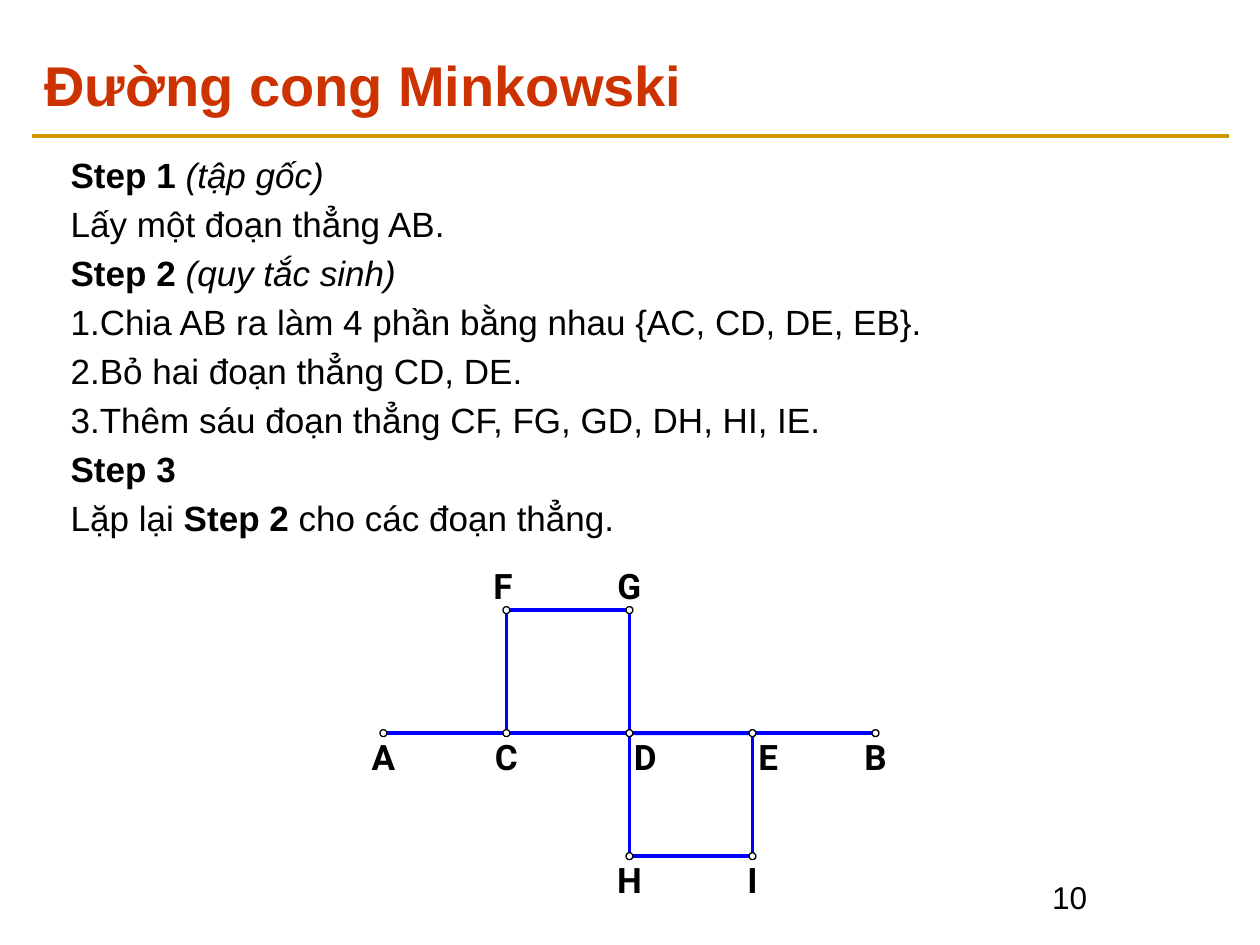
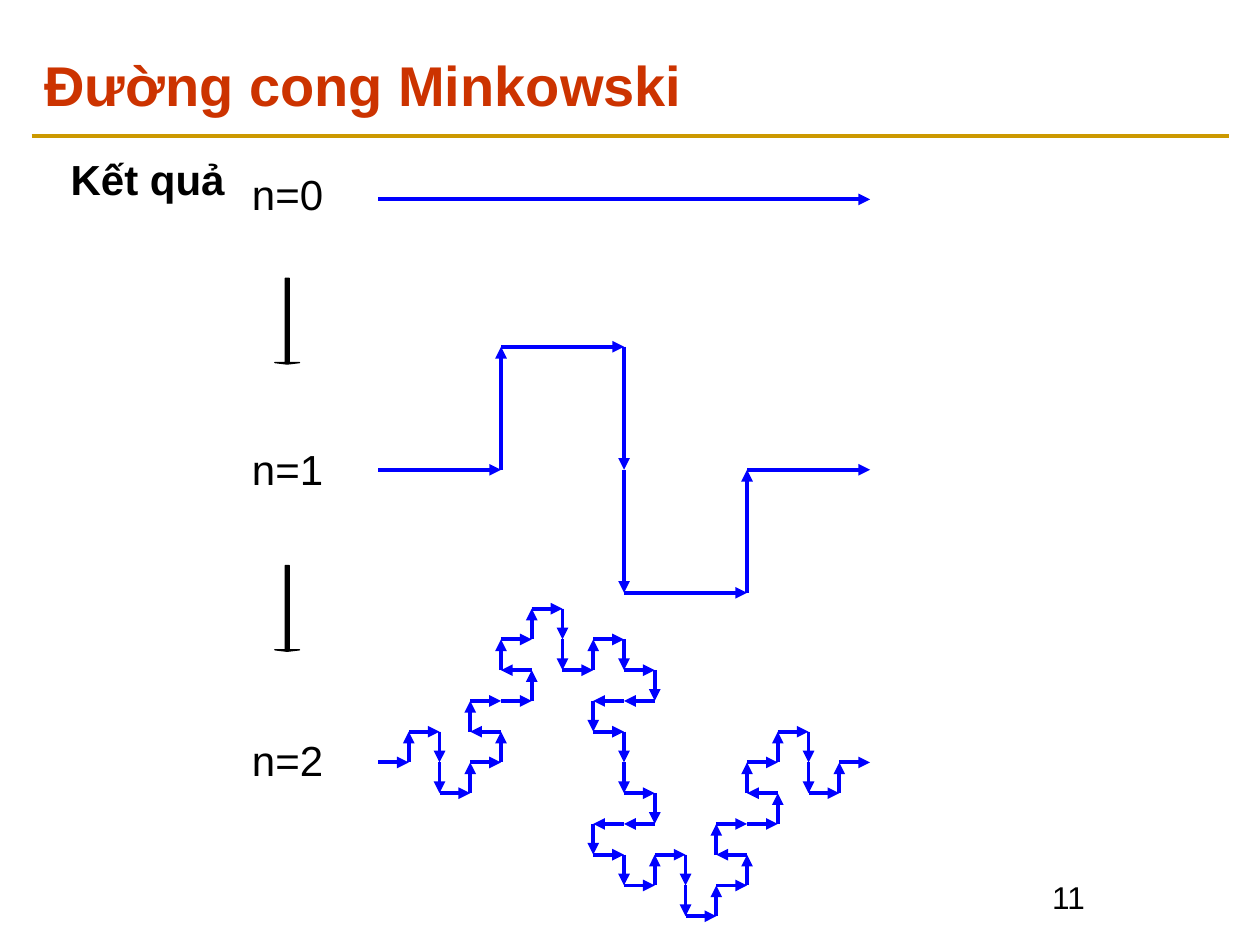
import lxml.etree
import pptx
import pptx.dml.color
import pptx.enum.shapes
import pptx.enum.text
import pptx.oxml.ns
import pptx.util

Cm = pptx.util.Cm
Pt = pptx.util.Pt
qn = pptx.oxml.ns.qn
ALIGN = pptx.enum.text.PP_ALIGN
FORM = pptx.enum.shapes.MSO_SHAPE

HUES = {"title": "CC3300", "rule": "CC9900", "curve": "0000FF",
        "ink": "000000", "paper": "FFFFFF"}
TITLE = "Đường cong Minkowski"
STEPS = [
    [("Step 1", "b"), (" (tập gốc)", "i")],
    [("Lấy một đoạn thẳng AB.", "")],
    [("Step 2", "b"), (" (quy tắc sinh)", "i")],
    [("Chia AB ra làm 4 phần bằng nhau {AC, CD, DE, EB}.", "n")],
    [("Bỏ hai đoạn thẳng CD, DE.", "n")],
    [("Thêm sáu đoạn thẳng CF, FG, GD, DH, HI, IE.", "n")],
    [("Step 3", "b")],
    [("Lặp lại ", ""), ("Step 2", "b"), (" cho các đoạn thẳng.", "")],
]
SPAN = 9.92                                     # length of AB in cm
TURNS = (0, 1, 0, -1, -1, 0, 1, 0)              # quarter turns of the rule
WAYS = ((1, 0), (0, -1), (-1, 0), (0, 1))       # right, up, left, down
NAMES = "ACFGDHIEB"                             # points in drawing order
SHIFT = {"F": (-0.07, -0.91), "G": (0, -0.91), "D": (0.32, 0.05), "E": (0.32, 0.05)}


def tint(name):
    return pptx.dml.color.RGBColor.from_string(HUES[name])


def put(para, text, size=20, face="Arial", hue="ink", bold=False, italic=False):
    """Add one formatted run to a paragraph."""
    run = para.add_run()
    run.text = text
    font = run.font
    font.size, font.name, font.bold, font.italic = Pt(size), face, bold, italic
    font.color.rgb = tint(hue)


def label(slide, text, x, y, wide, high, pad=0.0, align=ALIGN.LEFT, **form):
    box = slide.shapes.add_textbox(Cm(x), Cm(y), Cm(wide), Cm(high))
    frame = box.text_frame
    frame.word_wrap = False
    frame.margin_left = frame.margin_right = Cm(pad)
    frame.margin_top = frame.margin_bottom = Cm(pad / 2)
    frame.paragraphs[0].alignment = align
    put(frame.paragraphs[0], text, **form)


def stroke(slide, start, end, hue="curve", arrow=False):
    line = slide.shapes.add_connector(
        pptx.enum.shapes.MSO_CONNECTOR.STRAIGHT,
        *(Cm(v) for v in (*start, *end)))
    line.line.color.rgb = tint(hue)
    line.line.width = Pt(2.25)
    props = line.element.spPr
    if arrow:
        lxml.etree.SubElement(props.find(qn("a:ln")), qn("a:tailEnd"), type="triangle")
    lxml.etree.SubElement(props, qn("a:effectLst"))
    return line


def solid(slide, form, x, y, wide, high, fill):
    shape = slide.shapes.add_shape(form, Cm(x), Cm(y), Cm(wide), Cm(high))
    shape.shadow.inherit = False
    shape.fill.solid()
    shape.fill.fore_color.rgb = tint(fill)
    shape.line.color.rgb = tint("ink")
    shape.line.width = Pt(0.75)
    return shape


def trace(x, y, depth):
    """Return the points of the Minkowski curve at this depth."""
    turns = [0]
    for _ in range(depth):
        turns = [old + new for old in turns for new in TURNS]
    step = SPAN / 4 ** depth
    points = [(x, y)]
    for turn in turns:
        dx, dy = WAYS[turn % 4]
        x, y = x + dx * step, y + dy * step
        points.append((x, y))
    return points


def curve(slide, points, arrow=False):
    for start, end in zip(points, points[1:]):
        stroke(slide, start, end, arrow=arrow)


def place(shape, x, y, wide, high):
    shape.left, shape.top, shape.width, shape.height = (Cm(v) for v in (x, y, wide, high))
    shape.text_frame.auto_size = pptx.enum.text.MSO_AUTO_SIZE.NONE


def page(deck, number):
    """Add a slide with its title and number; return it."""
    slide = deck.slides.add_slide(deck.slide_layouts[1])
    title = slide.shapes.title
    place(title, 0.64, 0.85, 24.13, 1.69)
    title.text_frame.vertical_anchor = pptx.enum.text.MSO_ANCHOR.MIDDLE
    para = title.text_frame.paragraphs[0]
    para.alignment = ALIGN.LEFT
    put(para, TITLE, size=32, hue="title", bold=True)
    label(slide, str(number), 20.96, 17.58, 3.81, 1.27, pad=0.25, size=18)
    return slide


def body(slide, rows, high, size=20):
    """Fill the body; the marks b, i and n mean bold, italic and numbered."""
    hold = slide.placeholders[1]
    place(hold, 1.17, 2.97, 23.11, high)
    frame = hold.text_frame
    for rank, row in enumerate(rows):
        para = frame.add_paragraph() if rank else frame.paragraphs[0]
        listed = row[0][1] == "n"
        props = para._p.get_or_add_pPr()
        props.set("marL", "0")
        props.set("indent", str(Cm(-0.36) if listed else 0))
        if listed:
            lxml.etree.SubElement(props, qn("a:buAutoNum"), type="arabicPeriod")
        else:
            lxml.etree.SubElement(props, qn("a:buNone"))
        para.space_before = Pt(4 if rank else 0)
        for text, mark in row:
            put(para, text, size=size, bold=mark == "b", italic=mark == "i")


def rule(deck, slide):
    """Draw the line under the title and move it to the master."""
    line = stroke(slide, (0.64, 2.74), (24.77, 2.74), hue="rule")
    deck.slide_master.shapes.element.append(line.element)


def steps(slide):
    body(slide, STEPS, 8.2)
    points = trace(7.73, 14.78, 1)
    spots = dict(zip(NAMES, points))
    curve(slide, points)
    curve(slide, [spots[name] for name in "CDE"])
    for name, (x, y) in spots.items():
        solid(slide, FORM.OVAL, x - 0.07, y - 0.07, 0.14, 0.14, "paper")
        dx, dy = SHIFT.get(name, (0, 0.05))
        label(slide, name, x + dx - 0.3, y + dy, 0.6, 0.84,
              align=ALIGN.CENTER, face="Roboto", bold=True)


def result(slide):
    body(slide, [[("Kết quả", "b")]], 14.6, size=24)
    for depth, (top, base) in enumerate(((3.4, 4.02), (8.94, 9.47), (14.81, 15.37))):
        label(slide, f"n={depth}", 5.08, top, 1.45, 1.02, size=24)
        curve(slide, trace(7.62, base, depth), arrow=True)
    for top in (5.61, 11.4):
        arrow = solid(slide, FORM.DOWN_ARROW, 5.54, top, 0.5, 1.73, "ink")
        arrow.adjustments[0], arrow.adjustments[1] = 0.16, 0.06


def main():
    deck = pptx.Presentation()
    deck.slide_width, deck.slide_height = Cm(25.4), Cm(19.05)
    first = page(deck, 10)
    rule(deck, first)
    steps(first)
    result(page(deck, 11))
    deck.save("out.pptx")


if __name__ == "__main__":
    main()
